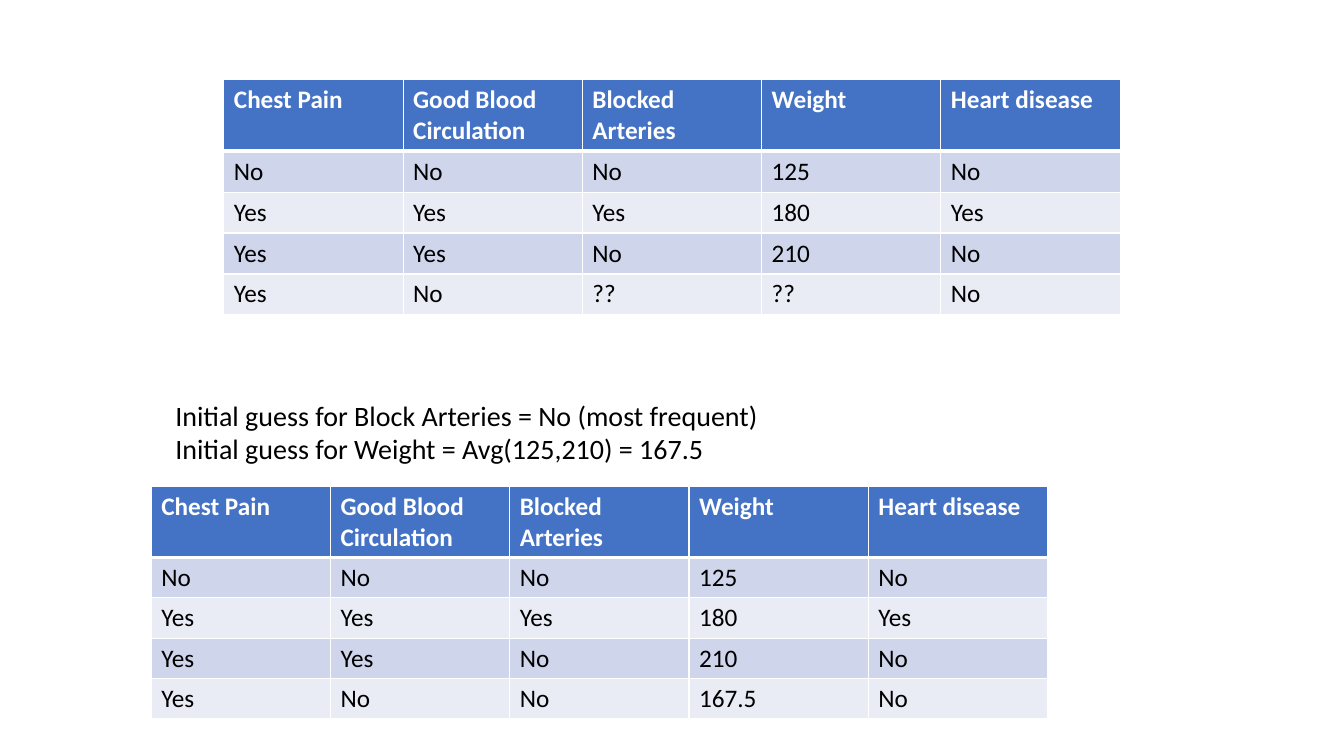
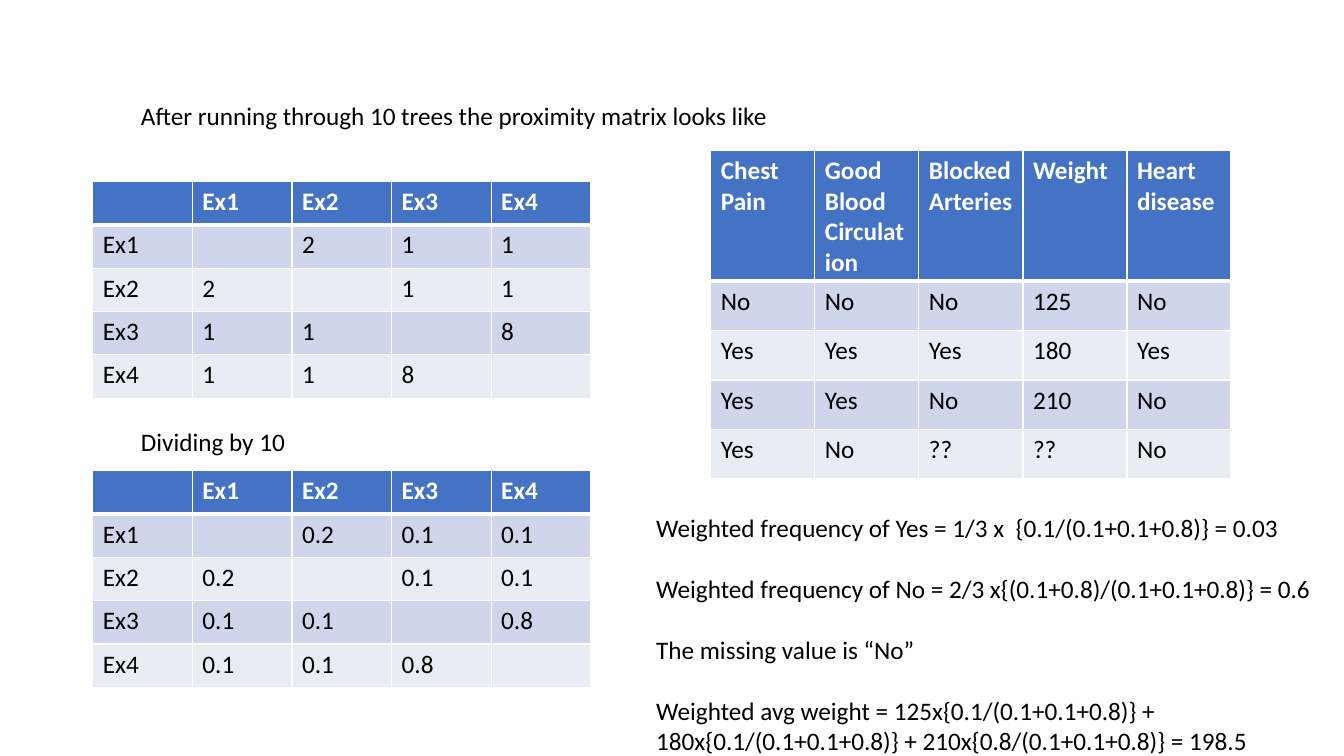
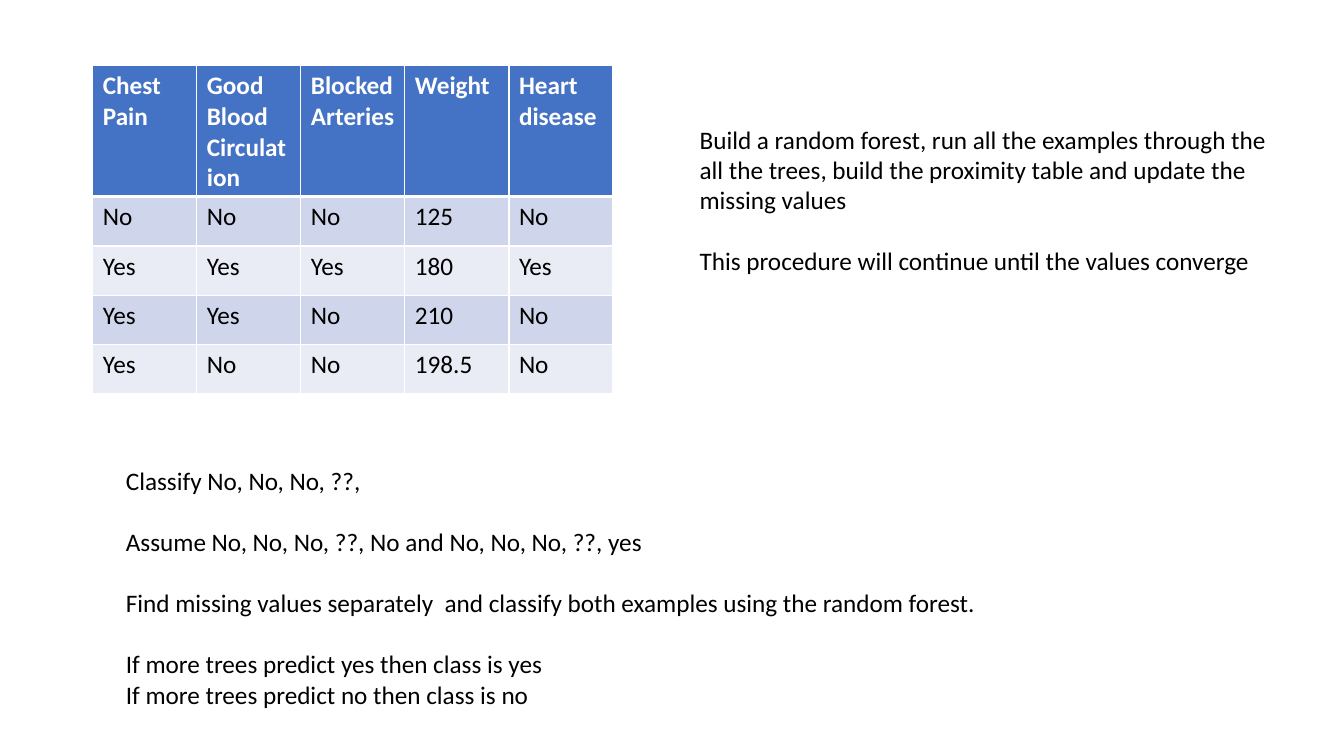
from dataclasses import dataclass

from lxml.etree import SubElement
from pptx import Presentation
from pptx.dml.color import RGBColor
from pptx.enum.text import MSO_AUTO_SIZE as Fit
from pptx.oxml.ns import qn
from pptx.slide import Slide
from pptx.util import Emu, Pt

PX = 9144  # 100 px to the inch
FONT = "Calibri"
BLACK, WHITE, BLUE = "000000", "FFFFFF", "4472C4"
BANDS = ("CFD5EA", "E9EBF5")
THIN, THICK = 1, 3
LINE = 1.22  # line height of the font, in ems

Rows = list[list[str]]


@dataclass
class Grid:
    left: int
    top: int
    width: int
    head: int
    row: int
    rows: Rows


@dataclass
class Note:
    """A text box; its blocks of lines stand one blank line apart."""
    left: int
    top: int
    width: int
    height: int
    blocks: list[list[str]]
    size: int = 18


def px(n: float) -> Emu:
    return Emu(round(n * PX))


def rgb(color: str) -> RGBColor:
    return RGBColor.from_string(color)


def add_run(para, text: str, size: int, color: str, bold: bool = False) -> None:
    run = para.add_run()
    run.text = text
    font = run.font
    font.name, font.size, font.bold = FONT, Pt(size), bold
    font.color.rgb = rgb(color)


def add_edges(cell, top: int, bottom: int) -> None:
    props = cell._tc.get_or_add_tcPr()
    for side, width in zip("LRTB", (THIN, THIN, top, bottom)):
        edge = SubElement(props, qn(f"a:ln{side}"), w=str(Pt(width)))
        fill = SubElement(edge, qn("a:solidFill"))
        SubElement(fill, qn("a:srgbClr"), val=WHITE)


def draw_grid(slide: Slide, grid: Grid) -> None:
    count, cols = len(grid.rows), len(grid.rows[0])
    height = grid.head + grid.row * (count - 1)
    table = slide.shapes.add_table(
        count, cols, px(grid.left), px(grid.top), px(grid.width), px(height)
    ).table
    for col in table.columns:
        col.width = px(grid.width / cols)
    for r, texts in enumerate(grid.rows):
        head = r == 0
        table.rows[r].height = px(grid.head if head else grid.row)
        for c, text in enumerate(texts):
            cell = table.cell(r, c)
            add_edges(cell, THICK if r == 1 else THIN, THICK if head else THIN)
            cell.fill.solid()
            cell.fill.fore_color.rgb = rgb(BLUE if head else BANDS[(r - 1) % 2])
            if text:
                add_run(cell.text_frame.paragraphs[0], text, 18,
                        WHITE if head else BLACK, head)


def draw_note(slide: Slide, note: Note) -> None:
    box = slide.shapes.add_textbox(
        px(note.left), px(note.top), px(note.width), px(note.height))
    frame = box.text_frame
    frame.word_wrap = False
    frame.auto_size = Fit.SHAPE_TO_FIT_TEXT
    para = None
    for block in note.blocks:
        for i, line in enumerate(block):
            first = para is None
            para = frame.paragraphs[0] if first else frame.add_paragraph()
            if i == 0 and not first:
                para.space_before = Pt(round(note.size * LINE))
            add_run(para, line, note.size, BLACK)


def cases(blocked: str, weight: str) -> Rows:
    """The patient table, with the two unsure values of the last patient."""
    return [
        ["Chest Pain", "Good Blood Circulation", "Blocked Arteries",
         "Weight", "Heart disease"],
        ["No", "No", "No", "125", "No"],
        ["Yes", "Yes", "Yes", "180", "Yes"],
        ["Yes", "Yes", "No", "210", "No"],
        ["Yes", "No", blocked, weight, "No"],
    ]


def matrix(trees: int) -> Rows:
    """The proximity counts, divided by the number of trees."""
    counts = [[0, 2, 1, 1], [2, 0, 1, 1], [1, 1, 0, 8], [1, 1, 8, 0]]
    names = [f"Ex{i + 1}" for i in range(len(counts))]
    body = [[name] + [f"{n / trees:g}" if n else "" for n in row]
            for name, row in zip(names, counts)]
    return [["", *names], *body]


DECK: list[list[Grid | Note]] = [
    [
        Grid(222, 79, 889, 70, 40, cases("??", "??")),
        Note(164, 390, 604, 77, [[
            "Initial guess for Block Arteries = No (most frequent)",
            "Initial guess for Weight = Avg(125,210) = 167.5",
        ]], 20),
        Grid(150, 483, 889, 70, 40, cases("No", "167.5")),
    ],
    [
        Grid(92, 180, 494, 43, 43, matrix(1)),
        Note(130, 95, 649, 40, [
            ["After running through 10 trees the proximity matrix looks like"],
        ]),
        Grid(92, 467, 494, 43, 43, matrix(10)),
        Note(130, 418, 165, 40, [["Dividing by 10"]]),
        Note(641, 503, 677, 252, [
            ["Weighted frequency of Yes = 1/3 x  {0.1/(0.1+0.1+0.8)} = 0.03"],
            ["Weighted frequency of No = 2/3 x{(0.1+0.8)/(0.1+0.1+0.8)} = 0.6"],
            ["The missing value is “No”"],
            ["Weighted avg weight = 125x{0.1/(0.1+0.1+0.8)} +",
             "180x{0.1/(0.1+0.1+0.8)} + 210x{0.8/(0.1+0.1+0.8)} = 198.5"],
        ]),
        Grid(705, 149, 516, 130, 49, cases("??", "??")),
    ],
    [
        Grid(92, 65, 516, 130, 49, cases("No", "198.5")),
        Note(684, 118, 595, 222, [
            ["Build a random forest, run all the examples through the",
             "all the trees, build the proximity table and update the",
             "missing values"],
            ["This procedure will continue until the values converge"],
        ]),
        Note(115, 457, 872, 252, [
            ["Classify No, No, No, ??,"],
            ["Assume No, No, No, ??, No and No, No, No, ??, yes"],
            ["Find missing values separately  and classify both examples "
             "using the random forest."],
            ["If more trees predict yes then class is yes",
             "If more trees predict no then class is no"],
        ]),
    ],
]


def main() -> None:
    deck = Presentation()
    deck.slide_width, deck.slide_height = px(1333), px(750)
    for items in DECK:
        slide = deck.slides.add_slide(deck.slide_layouts[6])
        for item in items:
            if isinstance(item, Grid):
                draw_grid(slide, item)
            else:
                draw_note(slide, item)
    deck.save("out.pptx")


if __name__ == "__main__":
    main()
